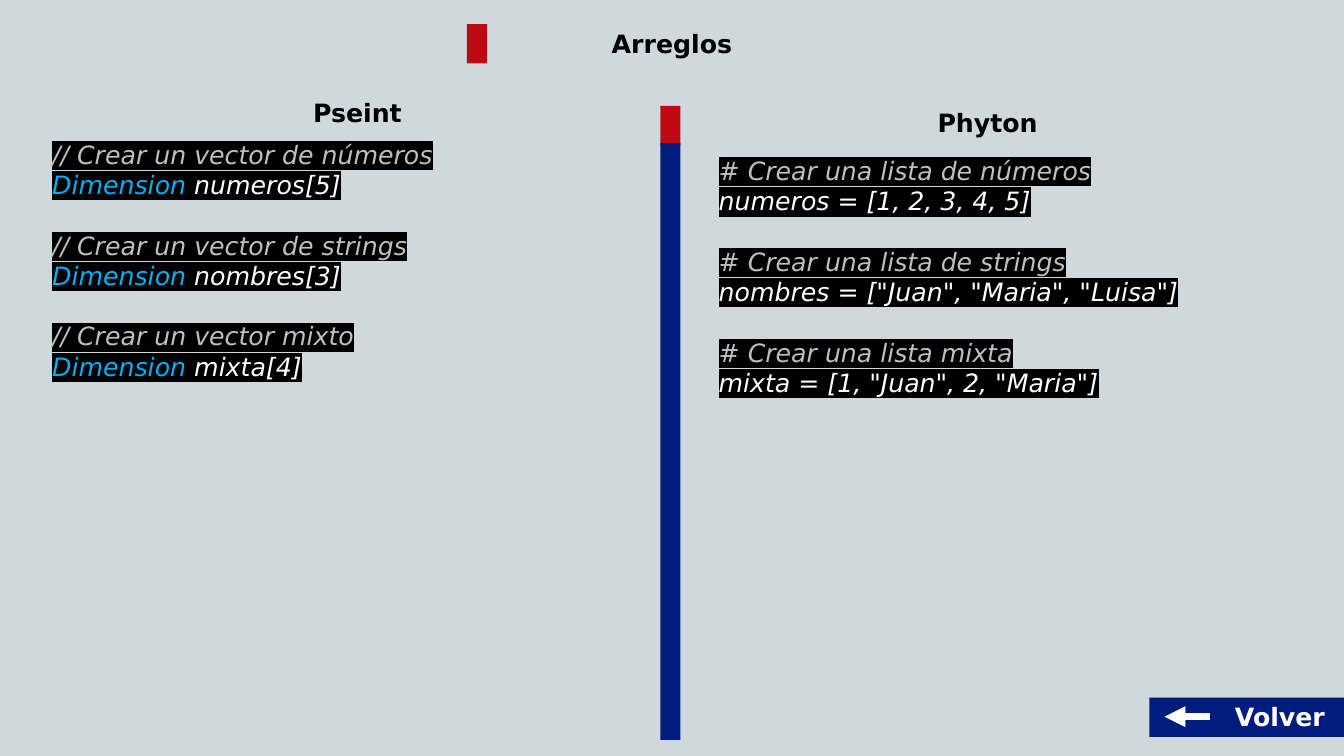
from lxml.etree import SubElement
from pptx import Presentation
from pptx.dml.color import RGBColor
from pptx.enum.shapes import MSO_CONNECTOR, MSO_SHAPE
from pptx.enum.text import MSO_AUTO_SIZE, PP_ALIGN
from pptx.oxml import parse_xml
from pptx.oxml.ns import nsdecls, qn
from pptx.util import Inches, Pt

FONT = "DejaVu Sans"
BLACK, WHITE, GRAY, CYAN = "000000", "FFFFFF", "BFBFBF", "00B0F0"
RED, NAVY, BACKGROUND = "C00812", "001C7D", "CFD8DC"
BAR_WIDTH, BAR_HEIGHT = 0.2, 0.39

PSEINT_CODE = [
    [[("// Crear un vector de números", GRAY)],
     [("Dimension", CYAN), (" numeros[5]", WHITE)]],
    [[("// Crear un vector de strings", GRAY)],
     [("Dimension", CYAN), (" nombres[3]", WHITE)]],
    [[("// Crear un vector mixto", GRAY)],
     [("Dimension", CYAN), (" mixta[4]", WHITE)]],
]
PYTHON_CODE = [
    [[("# Crear una lista de números", GRAY)],
     [("numeros = [1, 2, 3, 4, 5]", WHITE)]],
    [[("# Crear una lista de strings", GRAY)],
     [('nombres = ["Juan", "Maria", "Luisa"]', WHITE)]],
    [[("# Crear una lista mixta", GRAY)],
     [('mixta = [1, "Juan", 2, "Maria"]', WHITE)]],
]


def color(value):
    """Turn a hex string into a colour."""
    return RGBColor.from_string(value)


def add_bar(slide, left, top, width, height, fill):
    """Add a plain filled rectangle."""
    shape = slide.shapes.add_shape(
        MSO_SHAPE.RECTANGLE, Inches(left), Inches(top), Inches(width), Inches(height))
    shape.shadow.inherit = False
    shape.fill.solid()
    shape.fill.fore_color.rgb = color(fill)
    shape.line.fill.background()


def add_text_frame(slide, left, top, width, height):
    """Add a wrapping text box and return its text frame."""
    box = slide.shapes.add_textbox(
        Inches(left), Inches(top), Inches(width), Inches(height))
    text_frame = box.text_frame
    text_frame.word_wrap = True
    text_frame.auto_size = MSO_AUTO_SIZE.SHAPE_TO_FIT_TEXT
    return text_frame


def format_run(run, fill):
    """Give a run the slide's font, size and a colour."""
    run.font.name = FONT
    run.font.size = Pt(18)
    run.font.color.rgb = color(fill)


def add_label(slide, left, top, width, text, fill=BLACK, align=PP_ALIGN.CENTER):
    """Add a bold one-line label."""
    text_frame = add_text_frame(slide, left, top, width, 0.4)
    text_frame.text = text
    paragraph = text_frame.paragraphs[0]
    paragraph.alignment = align
    format_run(paragraph.runs[0], fill)
    paragraph.runs[0].font.bold = True


def add_code(slide, left, top, width, height, blocks):
    """Add highlighted code, with a line of space between its blocks."""
    text_frame = add_text_frame(slide, left, top, width, height)
    paragraph = text_frame.paragraphs[0]
    for block_index, block in enumerate(blocks):
        for line_index, line in enumerate(block):
            if block_index or line_index:
                paragraph = text_frame.add_paragraph()
            if block_index and not line_index:
                paragraph.space_before = Pt(21.7)
            for text, fill in line:
                run = paragraph.add_run()
                run.text = text
                format_run(run, fill)
                run.font.italic = True
                highlight = parse_xml(
                    f'<a:highlight {nsdecls("a")}><a:srgbClr val="{BLACK}"/></a:highlight>')
                run._r.get_or_add_rPr().find(qn("a:solidFill")).addnext(highlight)


def add_title(slide, left, top, width):
    """Add the slide title with its red mark."""
    add_bar(slide, left, top, BAR_WIDTH, BAR_HEIGHT, RED)
    add_label(slide, left + BAR_WIDTH, top - 0.01, width - BAR_WIDTH, "Arreglos")


def add_back_button(slide, left, top, width):
    """Add the back button with its arrow."""
    add_bar(slide, left, top, width, BAR_HEIGHT, NAVY)
    add_label(slide, left + 0.75, top - 0.01, width - 0.75, "Volver", WHITE, PP_ALIGN.LEFT)
    middle = Inches(top + 0.19)
    arrow = slide.shapes.add_connector(
        MSO_CONNECTOR.STRAIGHT, Inches(left + 0.6), middle, Inches(left + 0.15), middle)
    arrow.line.color.rgb = color(WHITE)
    arrow.line.width = Pt(5)
    SubElement(arrow.line._get_or_add_ln(), qn("a:tailEnd"), type="triangle")
    SubElement(arrow._element.spPr, qn("a:effectLst"))


def add_divider(slide, left, top, height):
    """Add the vertical divider with its red head."""
    add_bar(slide, left, top, BAR_WIDTH, BAR_HEIGHT, RED)
    add_bar(slide, left, top + 0.37, BAR_WIDTH, height - 0.37, NAVY)


def add_language(slide, left, top, name, blocks, code_left, code_top):
    """Add a language heading and its code, offset from the heading."""
    add_label(slide, left, top, 6.25, name)
    add_code(slide, left + code_left, top + code_top, 5.86, 2.52, blocks)


def main():
    """Build and save the slide."""
    presentation = Presentation()
    presentation.slide_width = Inches(13.33)
    presentation.slide_height = Inches(7.5)
    slide = presentation.slides.add_slide(presentation.slide_layouts[6])
    slide.background.fill.solid()
    slide.background.fill.fore_color.rgb = color(BACKGROUND)
    add_title(slide, 4.63, 0.24, 3.87)
    add_back_button(slide, 11.4, 6.92, 1.93)
    add_divider(slide, 6.55, 1.05, 6.29)
    add_language(slide, 0.42, 0.92, "Pseint", PSEINT_CODE, 0, 0.41)
    add_language(slide, 6.67, 1.02, "Phyton", PYTHON_CODE, 0.36, 0.47)
    presentation.save("out.pptx")


if __name__ == "__main__":
    main()
